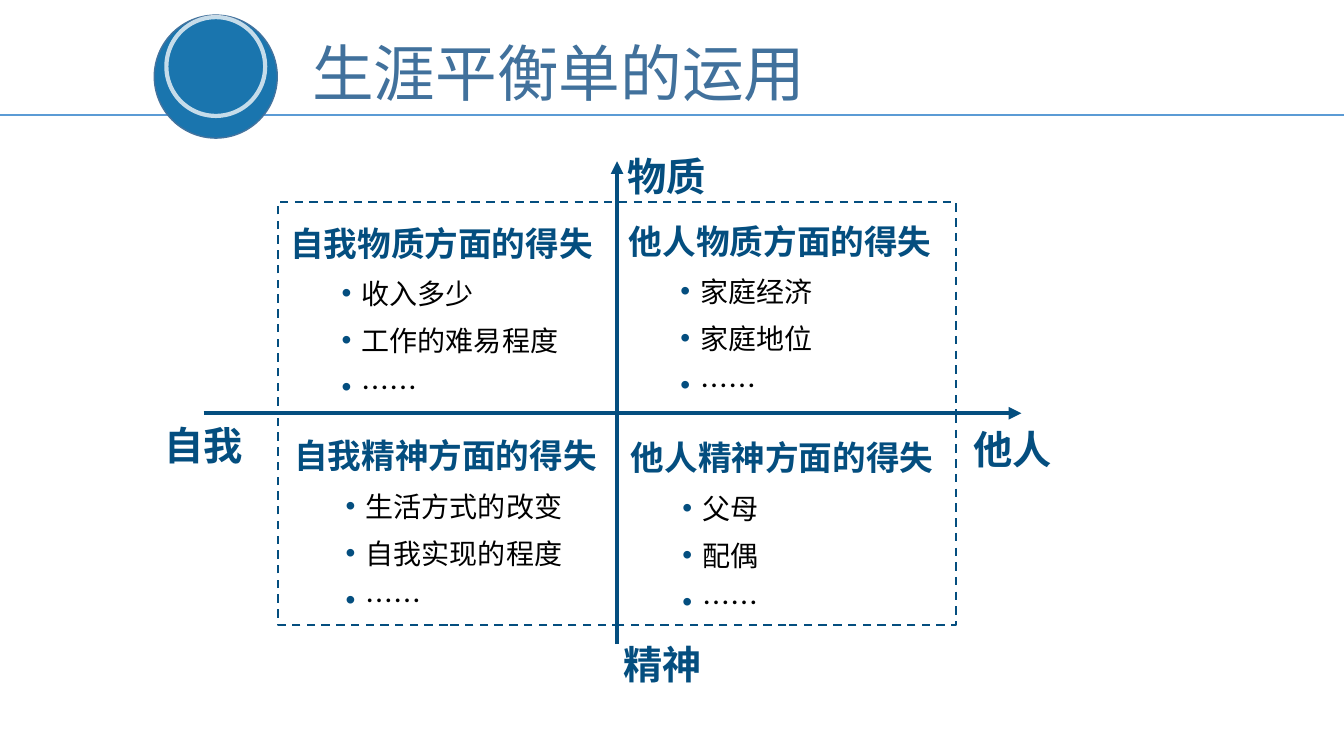
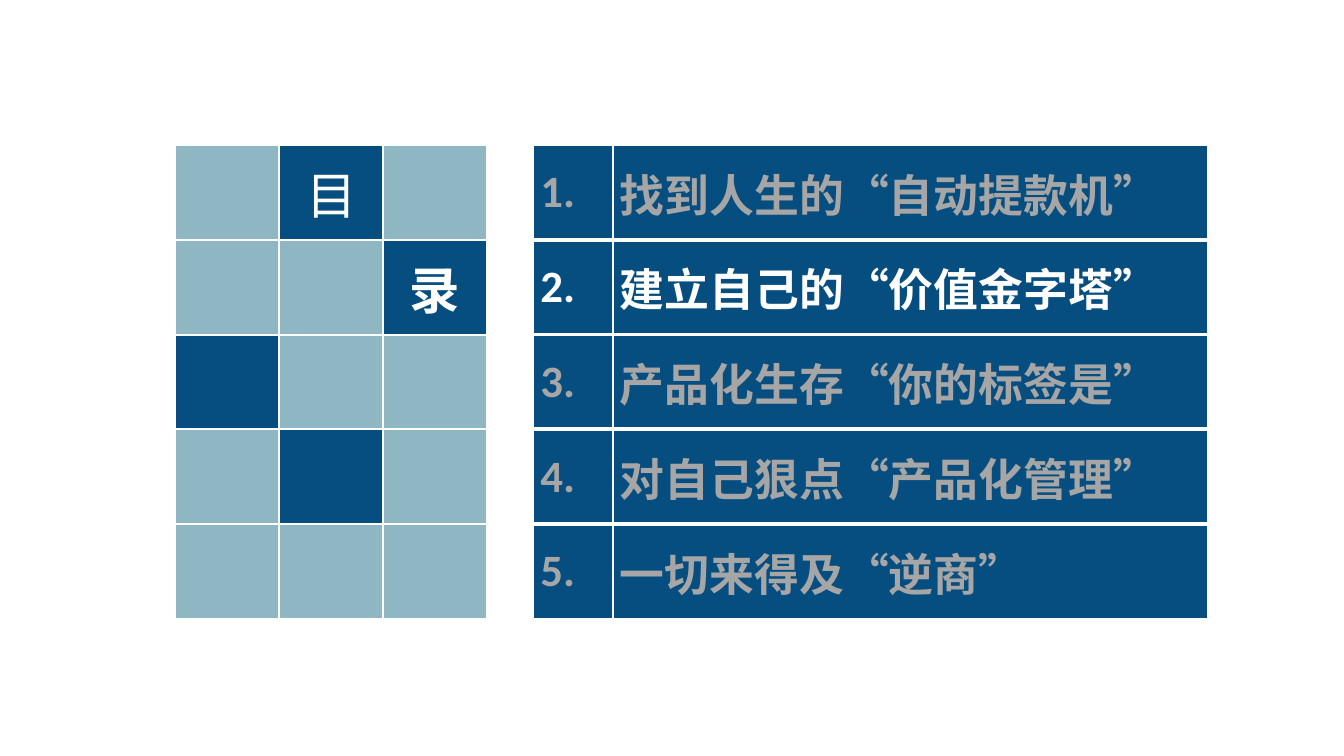
"""Build two career-planning slides: a balance-sheet quadrant and an agenda."""
from lxml.etree import SubElement
from pptx import Presentation
from pptx.dml.color import RGBColor
from pptx.enum.dml import MSO_LINE
from pptx.enum.lang import MSO_LANGUAGE_ID
from pptx.enum.shapes import MSO_CONNECTOR, MSO_SHAPE
from pptx.enum.text import MSO_ANCHOR, MSO_AUTO_SIZE, PP_ALIGN
from pptx.oxml.ns import qn
from pptx.util import Inches, Pt

COLORS = {
    "title": "41719C", "rule": "5B9BD5", "disc": "1A75AE", "disc_edge": "43739E",
    "navy": "044E7F", "band": "064E80", "tile": "8FB7C3", "muted": "A6A6A6",
    "white": "FFFFFF", "black": "000000",
}
CHINESE, TITLE_FONT, LATIN = "Noto Sans CJK SC", "Noto Sans CJK JP", "Calibri"

TITLE = "生涯平衡单的运用"
CENTER_X, CENTER_Y = 6.12, 4.1
QUADRANT_WIDTH, QUADRANT_HEIGHT = 3.36, 2.1
AXES = [((2.02, CENTER_Y), (10.13, CENTER_Y)), ((CENTER_X, 6.39), (CENTER_X, 1.6))]
AXIS_LABELS = [("物质", 6.12, 1.46), ("精神", 6.08, 6.3), ("自我", 1.53, 4.13), ("他人", 9.55, 4.17)]
QUADRANTS = [
    ("自我物质方面的得失", ["收入多少", "工作的难易程度", "……"], (2.78, 2, 3.22)),
    ("他人物质方面的得失", ["家庭经济", "家庭地位", "……"], (6.14, 1.98, 3.34)),
    ("自我精神方面的得失", ["生活方式的改变", "自我实现的程度", "……"], (2.82, 4.11, 3.47)),
    ("他人精神方面的得失", ["父母", "配偶", "……"], (6.16, 4.13, 3.34)),
]

AGENDA = ["找到人生的“自动提款机”", "建立自己的“价值金字塔”", "产品化生存“你的标签是”",
          "对自己狠点“产品化管理”", "一切来得及“逆商”"]
CURRENT_ROW = 1
DARK_TILES = {(0, 1): "目", (1, 2): "录", (2, 0): "", (3, 1): ""}
COLUMN_WIDTHS = [1.03, 1.03, 1.03, 0.46, 0.79, 5.9]
GAP_COLUMN, NUMBER_COLUMN, TOPIC_COLUMN = 3, 4, 5
ROW_HEIGHT = 0.94
PLAIN_TABLE_STYLE = "{2D5ABB26-0587-4C30-8999-92F81FD0307C}"


def rgb(name):
    return RGBColor.from_string(COLORS[name])


def style_text(para, size, color, bold=False, font=CHINESE):
    for span in para.runs:
        span.font.size = Pt(size)
        span.font.bold = bold
        span.font.color.rgb = rgb(color)
        span.font.name = font
        span.font.language_id = MSO_LANGUAGE_ID.SIMPLIFIED_CHINESE
        SubElement(span.font._element, qn("a:ea"), typeface=font)


def add_text_box(page, left, top, width, height, wrap=True):
    box = page.shapes.add_textbox(Inches(left), Inches(top), Inches(width), Inches(height))
    box.text_frame.word_wrap = wrap
    box.text_frame.auto_size = MSO_AUTO_SIZE.SHAPE_TO_FIT_TEXT
    return box.text_frame


def add_outline(page, kind, left, top, width, height, color, weight, fill=None):
    shape = page.shapes.add_shape(kind, Inches(left), Inches(top), Inches(width), Inches(height))
    shape.shadow.inherit = False
    if fill:
        shape.fill.solid()
        shape.fill.fore_color.rgb = rgb(fill)
    else:
        shape.fill.background()
    shape.line.color.rgb = rgb(color)
    shape.line.width = Pt(weight)
    return shape


def add_line(page, start, end, color, weight, arrow=False):
    points = [Inches(value) for value in (*start, *end)]
    line = page.shapes.add_connector(MSO_CONNECTOR.STRAIGHT, *points)
    line.line.color.rgb = rgb(color)
    line.line.width = Pt(weight)
    if arrow:
        SubElement(line.line._get_or_add_ln(), qn("a:tailEnd"), type="triangle")
    SubElement(line._element.spPr, qn("a:effectLst"))


def add_bullet(para):
    properties = para._p.get_or_add_pPr()
    properties.set("marL", str(Inches(0.71)))
    properties.set("indent", str(Inches(-0.2)))
    color = SubElement(properties, qn("a:buClr"))
    SubElement(color, qn("a:srgbClr"), val=COLORS["navy"])
    SubElement(properties, qn("a:buFont"), typeface="Arial")
    SubElement(properties, qn("a:buChar"), char="•")


def add_title(page, text):
    frame = add_text_box(page, 3, 0.3, 5.14, 0.84, wrap=False)
    frame.text = text
    style_text(frame.paragraphs[0], 44, "title", font=TITLE_FONT)
    add_line(page, (0, 1.14), (13.33, 1.14), "rule", 1.5)
    add_outline(page, MSO_SHAPE.OVAL, 1.53, 0.15, 1.22, 1.22, "disc_edge", 1, "disc")
    ring = add_outline(page, MSO_SHAPE.OVAL, 1.65, 0.17, 0.98, 0.98, "white", 3)
    color = ring.line._get_or_add_ln().find(".//" + qn("a:srgbClr"))
    SubElement(color, qn("a:alpha"), val="74000")


def build_balance_sheet(page):
    add_title(page, TITLE)
    for start, end in AXES:
        add_line(page, start, end, "navy", 3, arrow=True)
    for label, left, top in AXIS_LABELS:
        frame = add_text_box(page, left, top, 0.98, 0.57)
        frame.text = label
        frame.paragraphs[0].alignment = PP_ALIGN.CENTER
        style_text(frame.paragraphs[0], 28, "navy", bold=True)
    for index, (heading, items, (left, top, width)) in enumerate(QUADRANTS):
        frame = add_text_box(page, left, top, width, 2.08)
        frame.text = "\n".join([heading, *items])
        for position, para in enumerate(frame.paragraphs):
            para.line_spacing = 1.4
            if position:
                add_bullet(para)
                style_text(para, 20, "black")
            else:
                style_text(para, 24, "navy", bold=True)
        row, column = divmod(index, 2)
        border = add_outline(page, MSO_SHAPE.RECTANGLE,
                             CENTER_X + (column - 1) * QUADRANT_WIDTH,
                             CENTER_Y + (row - 1) * QUADRANT_HEIGHT,
                             QUADRANT_WIDTH, QUADRANT_HEIGHT, "navy", 1.5)
        border.line.dash_style = MSO_LINE.DASH


def set_borders(cell, weights):
    properties = cell._tc.get_or_add_tcPr()
    for side, weight in weights.items():
        line = SubElement(properties, qn(f"a:ln{side}"), w=str(Pt(weight)))
        fill = SubElement(line, qn("a:solidFill"))
        SubElement(fill, qn("a:srgbClr"), val=COLORS["white"])


def cell_content(row, column):
    """Return fill, text, size, text colour, bold and font of one cell."""
    if column < GAP_COLUMN:
        fill = "band" if (row, column) in DARK_TILES else "tile"
        return fill, DARK_TILES.get((row, column), ""), 36, "white", row == CURRENT_ROW, CHINESE
    if column == GAP_COLUMN:
        return "white", "", 32, "white", False, CHINESE
    color = "white" if row == CURRENT_ROW else "muted"
    if column == NUMBER_COLUMN:
        return "band", f"{row + 1}.", 32, color, True, LATIN
    return "band", AGENDA[row], 32, color, True, CHINESE


def build_agenda(page):
    last_row = len(AGENDA) - 1
    frame = page.shapes.add_table(len(AGENDA), len(COLUMN_WIDTHS), Inches(1.74), Inches(1.44),
                                  Inches(sum(COLUMN_WIDTHS)), Inches(ROW_HEIGHT * len(AGENDA)))
    table = frame.table
    table.first_row = table.horz_banding = False
    table._tbl.tblPr.find(qn("a:tableStyleId")).text = PLAIN_TABLE_STYLE
    for column, width in zip(table.columns, COLUMN_WIDTHS):
        column.width = Inches(width)
    for row, table_row in enumerate(table.rows):
        table_row.height = Inches(ROW_HEIGHT)
        for column, cell in enumerate(table_row.cells):
            fill, text, size, color, bold, font = cell_content(row, column)
            in_band = column > GAP_COLUMN
            weights = {"L": 1.5, "R": 1.5,
                       "T": 3 if in_band and row > 0 else 1.5,
                       "B": 3 if in_band and row < last_row else 1.5}
            if in_band:
                del weights["R" if column == NUMBER_COLUMN else "L"]
            set_borders(cell, weights)
            cell.fill.solid()
            cell.fill.fore_color.rgb = rgb(fill)
            cell.vertical_anchor = MSO_ANCHOR.MIDDLE
            cell.margin_left = cell.margin_right = Inches(0.07)
            cell.margin_top = cell.margin_bottom = Inches(0.05)
            if text:
                cell.text_frame.text = text
                para = cell.text_frame.paragraphs[0]
                para.alignment = PP_ALIGN.LEFT if in_band else PP_ALIGN.CENTER
                style_text(para, size, color, bold, font)


def main():
    deck = Presentation()
    deck.slide_width, deck.slide_height = Inches(13.33), Inches(7.5)
    for build in (build_balance_sheet, build_agenda):
        build(deck.slides.add_slide(deck.slide_layouts[6]))
    deck.save("out.pptx")


if __name__ == "__main__":
    main()
